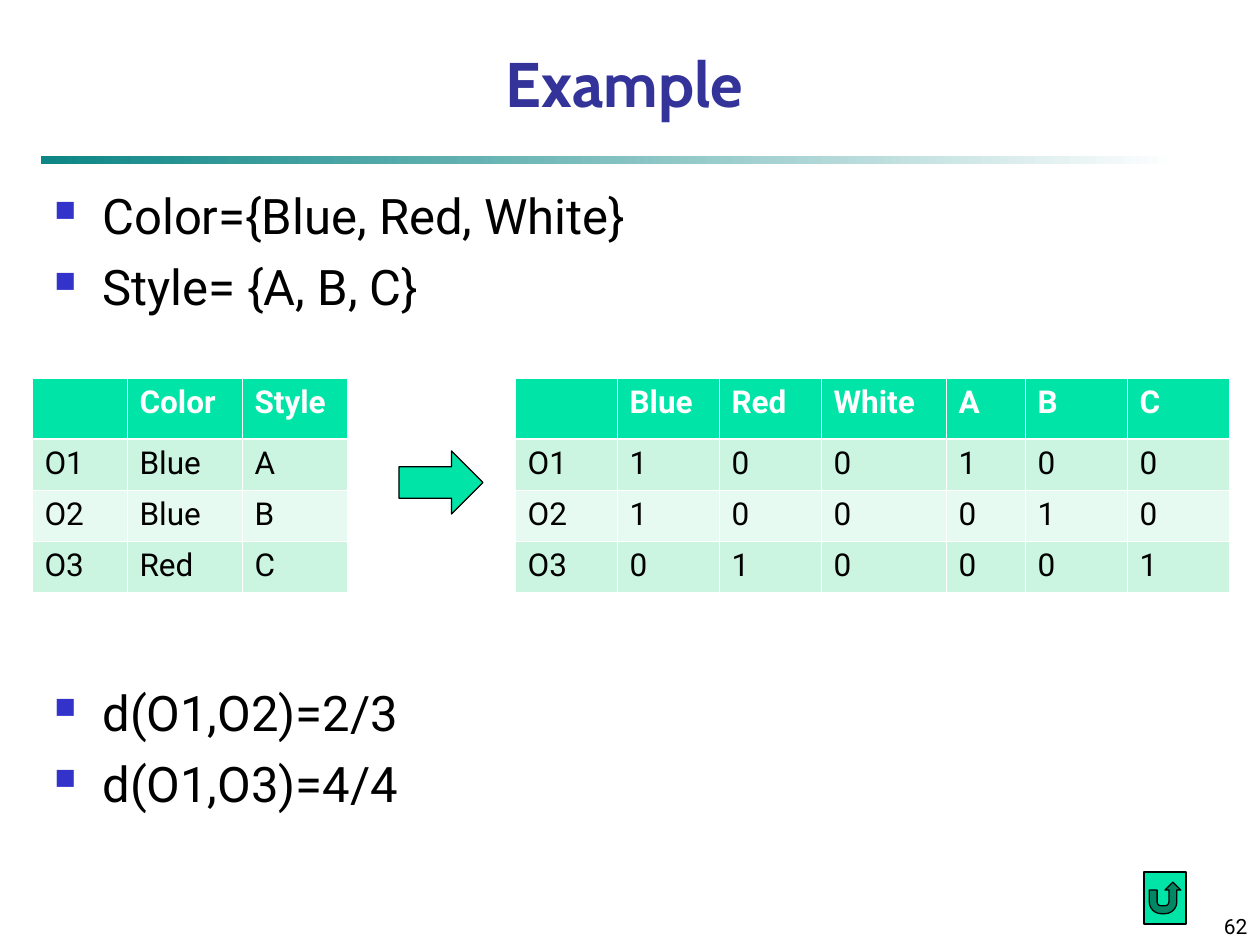
from dataclasses import dataclass

import pptx
import pptx.dml.color
import pptx.enum.shapes
import pptx.enum.text
import pptx.oxml
import pptx.oxml.ns
import pptx.util
from lxml import etree

RGB = pptx.dml.color.RGBColor
SHAPE = pptx.enum.shapes.MSO_SHAPE
ALIGN = pptx.enum.text.PP_ALIGN
ANCHOR = pptx.enum.text.MSO_ANCHOR
qn = pptx.oxml.ns.qn

WIDE, HIGH = 1260, 945
SCALE = 914400 / 126

BLACK = RGB(0x00, 0x00, 0x00)
WHITE = RGB(0xFF, 0xFF, 0xFF)
NAVY = RGB(0x33, 0x33, 0x99)
BLUE = RGB(0x33, 0x33, 0xCC)
TEAL = RGB(0x00, 0x80, 0x80)
GREEN = RGB(0x00, 0xE4, 0xA8)
MINT = RGB(0xCB, 0xF5, 0xE1)
PALE = RGB(0xE7, 0xFA, 0xF1)


@dataclass
class Box:
    left: int
    top: int
    width: int
    height: int

    def emu(self) -> list:
        return [px(n) for n in (self.left, self.top, self.width, self.height)]


@dataclass
class Grid:
    left: int
    cols: list
    rows: list


GRID_TOP = 378
ROW_SIZES = [61, 51, 51, 51]
GRIDS = [
    Grid(32, [95, 115, 105], [
        ["", "Color", "Style"],
        ["O1", "Blue", "A"],
        ["O2", "Blue", "B"],
        ["O3", "Red", "C"],
    ]),
    Grid(515, [102, 102, 102, 125, 79, 102, 102], [
        ["", "Blue", "Red", "White", "A", "B", "C"],
        ["O1", "1", "0", "0", "1", "0", "0"],
        ["O2", "1", "0", "0", "0", "1", "0"],
        ["O3", "0", "1", "0", "0", "0", "1"],
    ]),
]
LISTS = [
    (Box(42, 179, 1155, 145), ["Color={Blue, Red, White}", "Style= {A, B, C}"]),
    (Box(42, 676, 1155, 145), ["d(O1,O2)=2/3", "d(O1,O3)=4/4"]),
]


def px(n: int) -> int:
    return round(n * SCALE)


def add_mark(para) -> None:
    """Give a paragraph a square bullet with a hanging indent."""
    props = para._p.get_or_add_pPr()
    props.set("marL", str(px(48)))
    props.set("indent", str(px(-48)))
    tint = etree.SubElement(props, qn("a:buClr"))
    etree.SubElement(tint, qn("a:srgbClr"), val=str(BLUE))
    etree.SubElement(props, qn("a:buSzPct"), val="60000")
    etree.SubElement(props, qn("a:buChar"), char="■")


def put_text(frame, text: str, *, size: int, face: str = "Roboto",
             color: RGB = BLACK, bold: bool = False, align=ALIGN.LEFT,
             anchor=ANCHOR.TOP, gap: int = 0, mark: bool = False) -> None:
    frame.word_wrap = True
    frame.vertical_anchor = anchor
    for i, line in enumerate(text.split("\n")):
        para = frame.add_paragraph() if i else frame.paragraphs[0]
        para.alignment = align
        if i and gap:
            para.space_before = pptx.util.Pt(gap)
        if mark:
            add_mark(para)
        run = para.add_run()
        run.text = line
        font = run.font
        font.name, font.size, font.bold = face, pptx.util.Pt(size), bold
        font.color.rgb = color


def add_text(slide, box: Box, text: str, **form) -> None:
    put_text(slide.shapes.add_textbox(*box.emu()).text_frame, text, **form)


def add_shape(slide, kind, box: Box):
    shape = slide.shapes.add_shape(kind, *box.emu())
    shape.shadow.inherit = False
    shape.fill.solid()
    shape.fill.fore_color.rgb = GREEN
    shape.line.color.rgb = BLACK
    shape.line.width = pptx.util.Pt(0.75)
    return shape


def add_edge(cell, side: str, width: float) -> None:
    props = cell._tc.get_or_add_tcPr()
    line = etree.SubElement(props, qn("a:ln" + side),
                            w=str(pptx.util.Pt(width)))
    fill = etree.SubElement(line, qn("a:solidFill"))
    etree.SubElement(fill, qn("a:srgbClr"), val=str(WHITE))


def add_grid(slide, grid: Grid) -> None:
    box = Box(grid.left, GRID_TOP, sum(grid.cols), sum(ROW_SIZES))
    table = slide.shapes.add_table(
        len(grid.rows), len(grid.cols), *box.emu()).table
    for col, width in zip(table.columns, grid.cols):
        col.width = px(width)
    for r, (row, height) in enumerate(zip(table.rows, ROW_SIZES)):
        row.height = px(height)
        for cell, text in zip(row.cells, grid.rows[r]):
            # The rule below the header is the thick one
            for side in "LRTB":
                thick = (r, side) in ((0, "B"), (1, "T"))
                add_edge(cell, side, 1.47 if thick else 0.45)
            cell.fill.solid()
            cell.fill.fore_color.rgb = (GREEN, MINT, PALE, MINT)[r]
            if text:
                put_text(cell.text_frame, text, size=18, bold=r == 0,
                         color=BLACK if r else WHITE)


def add_rule(slide, box: Box) -> None:
    bar = add_shape(slide, SHAPE.RECTANGLE, box)
    bar.line.fill.background()
    bar.fill.gradient()
    bar.fill.gradient_angle = 0
    for stop, color in zip(bar.fill.gradient_stops, (TEAL, WHITE)):
        stop.color.rgb = color
    first = bar._element.spPr.find(".//" + qn("a:srgbClr"))
    etree.SubElement(first, qn("a:alpha"), val="95000")


def main() -> None:
    deck = pptx.Presentation()
    deck.slide_width, deck.slide_height = px(WIDE), px(HIGH)
    slide = deck.slides.add_slide(deck.slide_layouts[6])

    # Title and rule
    add_rule(slide, Box(42, 157, 1134, 7))
    add_text(slide, Box(21, 42, 1207, 84), "Example", size=36, face="Cabin",
             color=NAVY, bold=True, align=ALIGN.CENTER, anchor=ANCHOR.BOTTOM)

    # Bullet lists
    for box, lines in LISTS:
        add_text(slide, box, "\n".join(lines), size=28, gap=7, mark=True)

    # Tables with the arrow between them
    for grid in GRIDS:
        add_grid(slide, grid)
    add_shape(slide, SHAPE.RIGHT_ARROW, Box(399, 451, 84, 63))

    # Return button and page number
    add_shape(slide, SHAPE.ACTION_BUTTON_RETURN, Box(1144, 872, 42, 52))
    add_text(slide, Box(998, 892, 262, 53), "62", size=12,
             align=ALIGN.RIGHT, anchor=ANCHOR.BOTTOM)

    deck.save("out.pptx")


if __name__ == "__main__":
    main()
